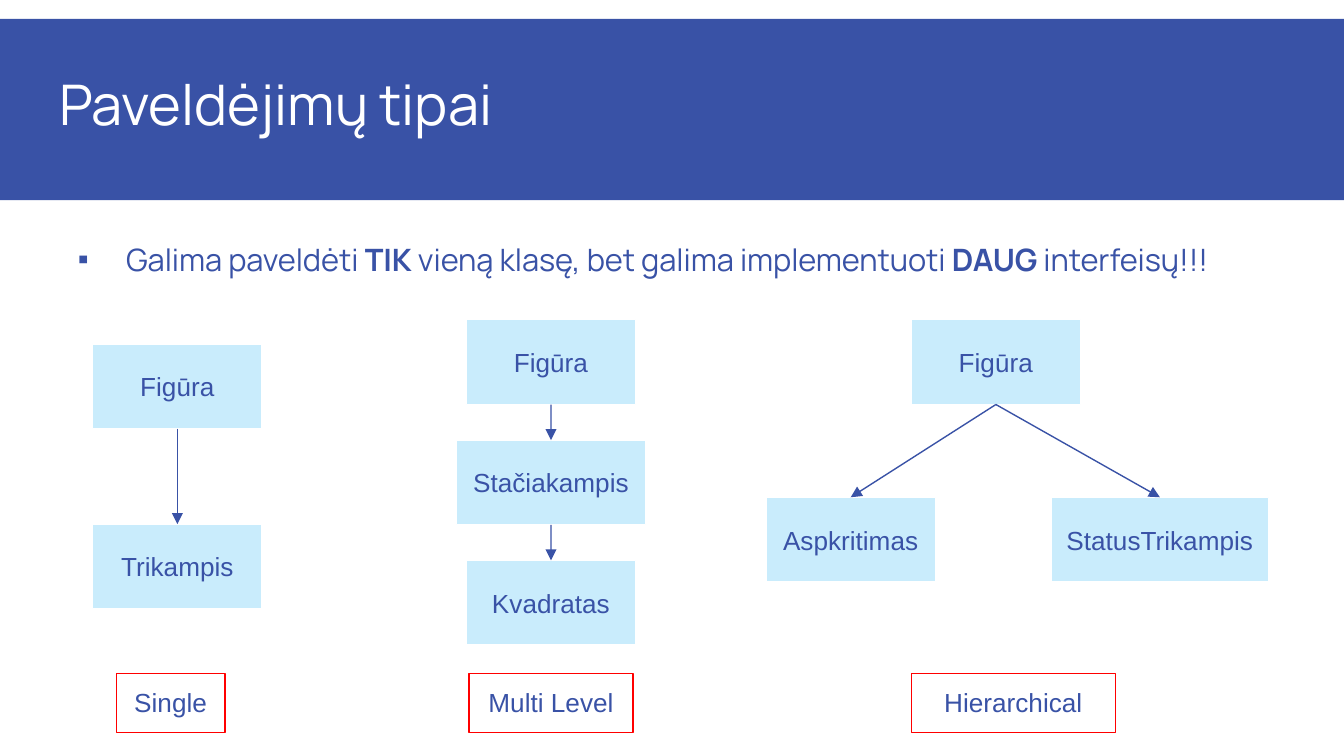
from dataclasses import dataclass
from pptx import Presentation
from pptx.dml.color import RGBColor
from pptx.enum.shapes import MSO_CONNECTOR, MSO_SHAPE
from pptx.enum.text import MSO_ANCHOR, MSO_AUTO_SIZE, PP_ALIGN
from pptx.oxml.ns import qn
from pptx.util import Inches, Pt
from lxml.etree import SubElement


@dataclass(frozen=True)
class Theme:
    blue: RGBColor = RGBColor(0x39, 0x52, 0xA6)
    pale: RGBColor = RGBColor(0xC9, 0xEC, 0xFC)
    red: RGBColor = RGBColor(0xFF, 0, 0)
    white: RGBColor = RGBColor(0xFF, 0xFF, 0xFF)
    head: str = "Manrope"
    body: str = "Arial"
    big: float = 30
    mid: float = 16.5
    small: float = 14
    line: float = 0.75


THEME = Theme()
WIDE = 10
HIGH = WIDE * 9 / 16
SIDE, PAD = 0.34, 0.1
BOX_W, BOX_H = 1.26, 0.63
TAG_Y, TAG_H = 5.01, 0.44

TITLE = "Paveldėjimų tipai"
POINT = [
    ("Galima paveldėti ", False),
    ("TIK", True),
    (" vieną klasę, bet galima implementuoti ", False),
    ("DAUG", True),
    (" interfeisų!!!", False),
]
TREES = [
    {"top": 2.56, "last": 3.9, "tag": ("Single", 1.27, 0.81),
     "nodes": [("Figūra", 1.32, BOX_W, 0, None),
               ("Trikampis", 1.32, BOX_W, 1, 0)]},
    {"top": 2.38, "last": 4.17, "tag": ("Multi Level", 4.1, 1.22),
     "nodes": [("Figūra", 4.1, BOX_W, 0, None),
               ("Stačiakampis", 4.1, 1.41, 0.5, 0),
               ("Kvadratas", 4.1, BOX_W, 1, 1)]},
    {"top": 2.38, "last": 3.7, "tag": ("Hierarchical", 7.54, 1.52),
     "nodes": [("Figūra", 7.41, BOX_W, 0, None),
               ("Aspkritimas", 6.33, BOX_W, 1, 0),
               ("StatusTrikampis", 8.63, 1.62, 1, 0)]},
]


def style(font, name, size, color):
    font.name, font.size = name, Pt(size)
    font.color.rgb = color


def inset(frame, anchor):
    frame.word_wrap = True
    frame.auto_size = MSO_AUTO_SIZE.NONE
    frame.vertical_anchor = anchor
    frame.margin_left = frame.margin_right = Inches(PAD)
    frame.margin_top = frame.margin_bottom = Inches(PAD)


def rect(slide, left, top, width, height, fill=None, line=None):
    shape = slide.shapes.add_shape(
        MSO_SHAPE.RECTANGLE, *map(Inches, (left, top, width, height)))
    shape.shadow.inherit = False
    if fill is None:
        shape.fill.background()
    else:
        shape.fill.solid()
        shape.fill.fore_color.rgb = fill
    if line is None:
        shape.line.fill.background()
    else:
        shape.line.color.rgb = line
        shape.line.width = Pt(THEME.line)
    return shape


def label(shape, text, anchor):
    frame = shape.text_frame
    inset(frame, anchor)
    frame.text = text
    para = frame.paragraphs[0]
    para.alignment = PP_ALIGN.CENTER
    style(para.font, THEME.body, THEME.small, THEME.blue)


def arrow(slide, start, end):
    line = slide.shapes.add_connector(MSO_CONNECTOR.STRAIGHT, 0, 0, 0, 0)
    line.begin_connect(start, 2)
    line.end_connect(end, 0)
    line.line.color.rgb = THEME.blue
    line.line.width = Pt(THEME.line)
    SubElement(line.line._get_or_add_ln(), qn("a:tailEnd"), type="triangle")
    SubElement(line._element.spPr, qn("a:effectLst"))


def header(slide):
    band = rect(slide, 0, 0.14, WIDE, 1.35, THEME.blue)
    slide.shapes._spTree.insert(2, band._element)
    title = slide.shapes.title
    title.left, title.top = Inches(SIDE), Inches(0.49)
    title.width, title.height = Inches(WIDE - 2 * SIDE), Inches(0.63)
    title.text = TITLE
    inset(title.text_frame, MSO_ANCHOR.TOP)
    para = title.text_frame.paragraphs[0]
    para.alignment = PP_ALIGN.LEFT
    para.line_spacing = 0.85
    style(para.font, THEME.head, THEME.big, THEME.white)


def point(slide):
    box = slide.shapes.add_textbox(
        *map(Inches, (SIDE, 1.72, WIDE - 2 * SIDE, 0.49)))
    inset(box.text_frame, MSO_ANCHOR.TOP)
    para = box.text_frame.paragraphs[0]
    para.line_spacing = 0.9
    props = para._p.get_or_add_pPr()
    props.set("marL", str(Inches(0.5)))
    props.set("indent", str(Inches(-0.36)))
    SubElement(props, qn("a:buFont"), typeface=THEME.body)
    SubElement(props, qn("a:buChar"), char="▪")
    style(para.font, THEME.head, THEME.mid, THEME.blue)
    for text, bold in POINT:
        run = para.add_run()
        run.text = text
        run.font.bold = bold


def tree(slide, top, last, tag, nodes):
    boxes = []
    for text, mid, width, share, _ in nodes:
        box = rect(slide, mid - width / 2, top + share * (last - top),
                   width, BOX_H, THEME.pale, THEME.white)
        label(box, text, MSO_ANCHOR.MIDDLE)
        boxes.append(box)
    for box, (*_, base) in zip(boxes, nodes):
        if base is not None:
            arrow(slide, boxes[base], box)
    text, mid, width = tag
    frame = rect(slide, mid - width / 2, TAG_Y, width, TAG_H, line=THEME.red)
    label(frame, text, MSO_ANCHOR.TOP)


def main():
    deck = Presentation()
    deck.slide_width, deck.slide_height = Inches(WIDE), Inches(HIGH)
    slide = deck.slides.add_slide(deck.slide_layouts[5])
    header(slide)
    point(slide)
    for item in TREES:
        tree(slide, **item)
    deck.save("out.pptx")


if __name__ == "__main__":
    main()
